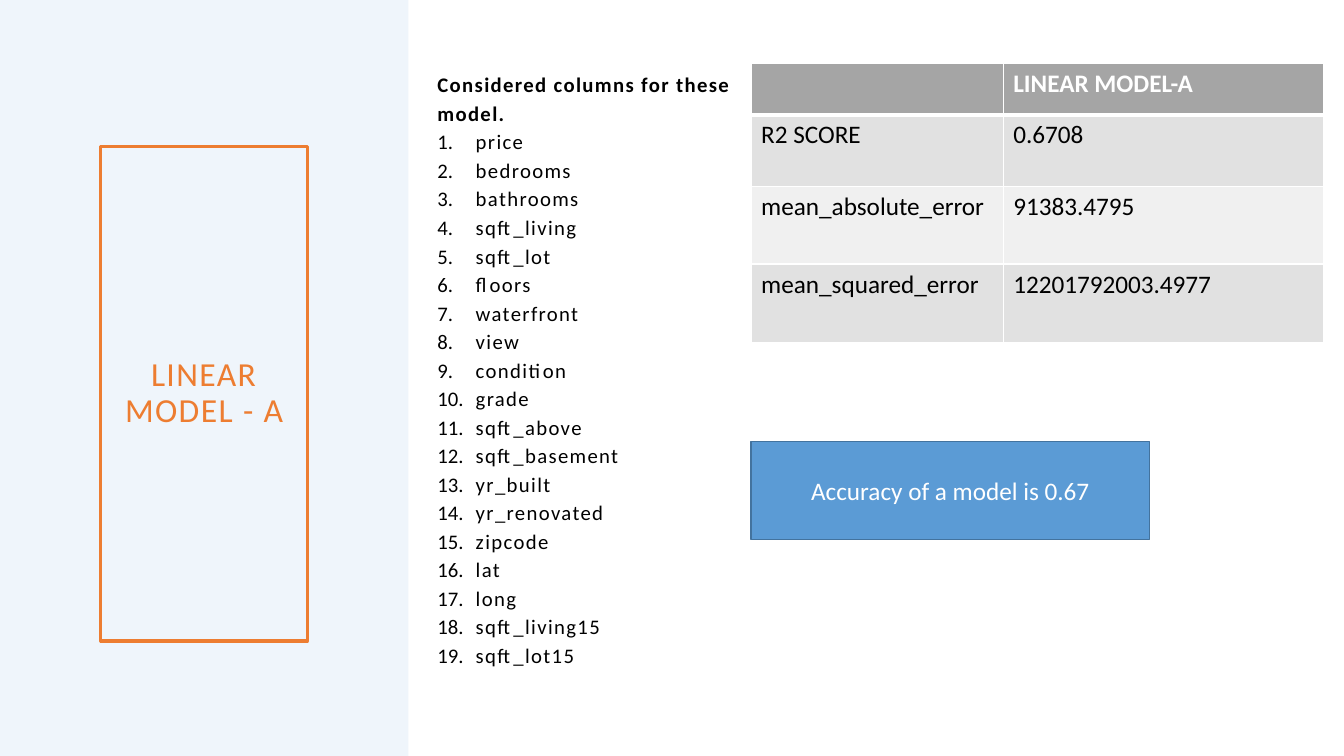
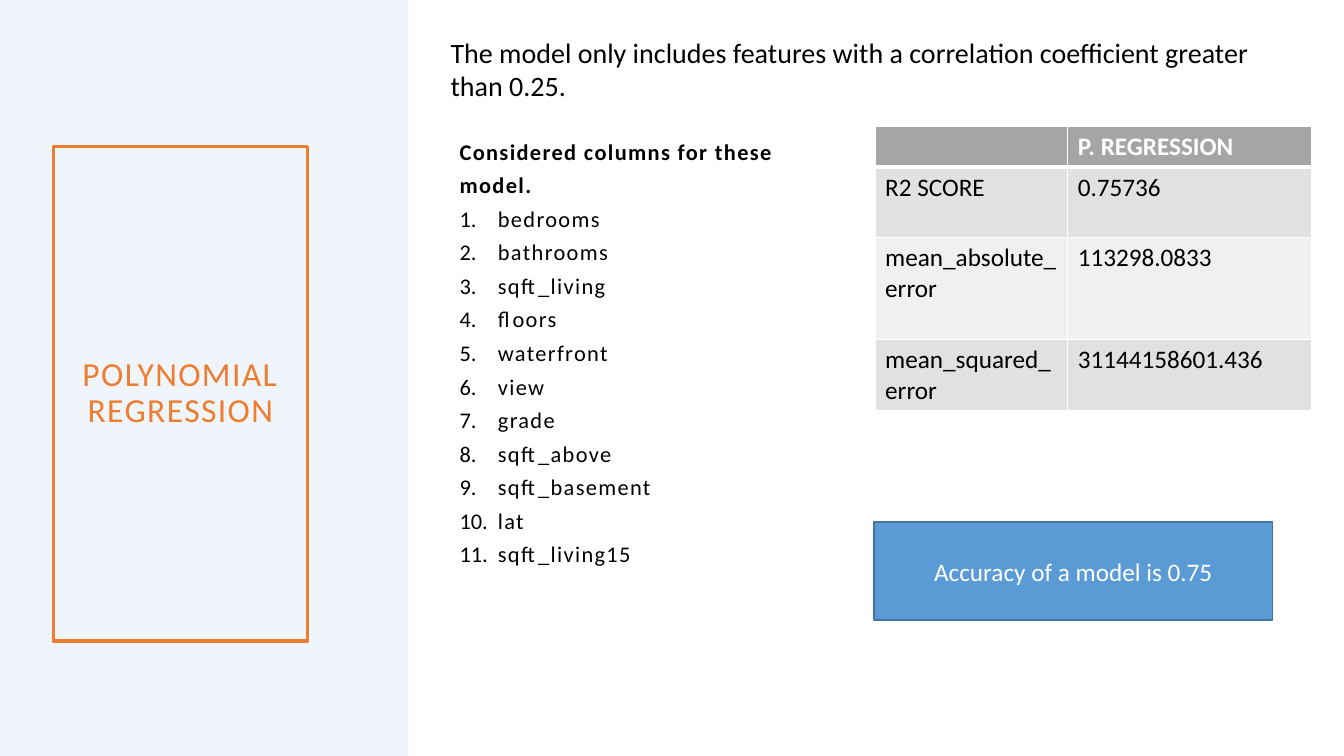
from dataclasses import dataclass

from lxml.etree import SubElement
from pptx import Presentation
from pptx.dml.color import RGBColor
from pptx.enum.shapes import MSO_SHAPE as Preset
from pptx.enum.text import MSO_ANCHOR as Anchor, MSO_AUTO_SIZE as AutoSize, PP_ALIGN as Align
from pptx.oxml.ns import qn
from pptx.util import Inches, Pt


@dataclass(frozen=True)
class Theme:
    """Colours, font and type sizes of the deck."""
    font: str = "Calibri"
    panel: str = "EFF5FB"
    accent: str = "ED7D31"
    callout: str = "5B9BD5"
    callout_edge: str = "43739E"
    header: str = "A5A5A5"
    bands: tuple = ("E1E1E1", "F0F0F0")
    ink: str = "000000"
    paper: str = "FFFFFF"
    title_size: float = 24
    intro_size: float = 20
    body_size: float = 18


THEME = Theme()
TITLE_ONLY = 5
PANEL_BOX = (0, 0, 4.05, 7.5)
LIST_HEADING = "Considered columns for these model."
METRICS = ("R2 SCORE", "mean_absolute_error", "mean_squared_error")


@dataclass(frozen=True)
class ModelPage:
    """Content and layout of one model page; boxes are left, top, width, height."""
    title: str
    title_box: tuple
    columns: tuple
    list_box: tuple
    list_size: float
    list_spacing: float
    table_name: str
    scores: tuple
    table_origin: tuple
    table_widths: tuple
    table_heights: tuple
    callout: str
    callout_box: tuple
    intro: str = ""
    intro_box: tuple = ()


PAGES = (
    ModelPage(
        title="LINEAR MODEL - A",
        title_box=(1, 1.45, 2.05, 4.91),
        columns=("price", "bedrooms", "bathrooms", "sqft_living", "sqft_lot", "floors",
                 "waterfront", "view", "condition", "grade", "sqft_above", "sqft_basement",
                 "yr_built", "yr_renovated", "zipcode", "lat", "long", "sqft_living15",
                 "sqft_lot15"),
        list_box=(4.24, 0.63, 3.21, 6.6),
        list_size=14.8,
        list_spacing=1.15,
        table_name="LINEAR MODEL-A",
        scores=("0.6708", "91383.4795", "12201792003.4977"),
        table_origin=(7.45, 0.63),
        table_widths=(2.5, 3.18),
        table_heights=(0.51, 0.71, 0.77, 0.78),
        callout="Accuracy of a model is 0.67",
        callout_box=(7.45, 4.38, 3.95, 0.97),
    ),
    ModelPage(
        title="POLYNOMIAL REGRESSION",
        title_box=(0.53, 1.45, 2.52, 4.91),
        columns=("bedrooms", "bathrooms", "sqft_living", "floors", "waterfront", "view",
                 "grade", "sqft_above", "sqft_basement", "lat", "sqft_living15"),
        list_box=(4.46, 1.25, 3.91, 4.45),
        list_size=16,
        list_spacing=1.25,
        table_name="P. REGRESSION",
        scores=("0.75736", "113298.0833", "31144158601.436"),
        table_origin=(8.68, 1.25),
        table_widths=(1.91, 2.42),
        table_heights=(0.41, 0.7, 1.01, 0.69),
        callout="Accuracy of a model is 0.75",
        callout_box=(8.67, 5.18, 3.95, 0.97),
        intro="The model only includes features with a correlation coefficient greater than 0.25.",
        intro_box=(4.37, 0.3, 8.6, 0.77),
    ),
)


def rgb(code):
    """Turn a hex code into a colour."""
    return RGBColor.from_string(code)


def inches(box):
    """Turn plain numbers into lengths."""
    return [Inches(value) for value in box]


def style(para, size, color, bold=False, tracking=0):
    """Format every run of a paragraph, with letter spacing in points."""
    for span in para.runs:
        span.font.name = THEME.font
        span.font.size = Pt(size)
        span.font.bold = bold
        span.font.color.rgb = rgb(color)
        if tracking:
            span.font._element.set("spc", str(tracking * 100))


def number(para, indent=0.38):
    """Give a paragraph an automatic number and a hanging indent."""
    props = para._p.get_or_add_pPr()
    props.set("marL", str(Inches(indent)))
    props.set("indent", str(-Inches(indent)))
    SubElement(props, qn("a:buFont"), typeface=THEME.font)
    SubElement(props, qn("a:buAutoNum"), type="arabicPeriod")


def set_borders(cell, bottom):
    """Draw white borders around a cell, with its own bottom width in points."""
    props = cell._tc.get_or_add_tcPr()
    for index, (side, width) in enumerate((("L", 1), ("R", 1), ("T", 1), ("B", bottom))):
        line = props.makeelement(qn(f"a:ln{side}"), {"w": str(Pt(width))})
        fill = SubElement(line, qn("a:solidFill"))
        SubElement(fill, qn("a:srgbClr"), val=THEME.paper)
        props.insert(index, line)


def add_rectangle(page, box, fill):
    """Add a flat rectangle without a line."""
    shape = page.shapes.add_shape(Preset.RECTANGLE, *inches(box))
    shape.shadow.inherit = False
    shape.fill.solid()
    shape.fill.fore_color.rgb = rgb(fill)
    shape.line.fill.background()
    return shape


def add_text(page, box):
    """Add an empty wrapping text box and return its frame."""
    frame = page.shapes.add_textbox(*inches(box)).text_frame
    frame.word_wrap = True
    return frame


def add_panel(page):
    """Place the tinted side panel behind the title."""
    panel = add_rectangle(page, PANEL_BOX, THEME.panel)
    page.shapes.element.insert(2, panel.element)


def place_title(page, text, box):
    """Frame the title placeholder in the accent colour."""
    title = page.shapes.title
    title.left, title.top, title.width, title.height = inches(box)
    title.line.color.rgb = rgb(THEME.accent)
    title.line.width = Pt(2.25)
    frame = title.text_frame
    frame.text = text
    frame.word_wrap = True
    frame.auto_size = AutoSize.NONE
    frame.vertical_anchor = Anchor.MIDDLE
    para = frame.paragraphs[0]
    para.alignment = Align.CENTER
    para.line_spacing = 0.9
    style(para, THEME.title_size, THEME.accent, tracking=1)


def add_column_list(page, columns, box, size, spacing):
    """Add the heading and the numbered list of model columns."""
    frame = add_text(page, box)
    frame.text = "\n".join((LIST_HEADING, *columns))
    for index, para in enumerate(frame.paragraphs):
        para.line_spacing = spacing
        style(para, size, THEME.ink, bold=index == 0, tracking=1)
        if index:
            number(para)


def add_score_table(page, name, scores, origin, widths, heights):
    """Add the table of error metrics for one model."""
    rows = [("", name), *zip(METRICS, scores)]
    box = (*origin, sum(widths), sum(heights))
    table = page.shapes.add_table(len(rows), len(widths), *inches(box)).table
    for column, width in zip(table.columns, widths):
        column.width = Inches(width)
    for index, (row, height, texts) in enumerate(zip(table.rows, heights, rows)):
        row.height = Inches(height)
        is_header = index == 0
        fill = THEME.header if is_header else THEME.bands[(index - 1) % 2]
        color = THEME.paper if is_header else THEME.ink
        for cell, text in zip(row.cells, texts):
            cell.text = text
            cell.fill.solid()
            cell.fill.fore_color.rgb = rgb(fill)
            set_borders(cell, 3 if is_header else 1)
            style(cell.text_frame.paragraphs[0], THEME.body_size, color, bold=is_header)


def add_callout(page, text, box):
    """Add the accuracy callout."""
    callout = add_rectangle(page, box, THEME.callout)
    callout.line.color.rgb = rgb(THEME.callout_edge)
    callout.line.width = Pt(1)
    frame = callout.text_frame
    frame.text = text
    frame.word_wrap = True
    frame.vertical_anchor = Anchor.MIDDLE
    para = frame.paragraphs[0]
    para.alignment = Align.CENTER
    style(para, THEME.body_size, THEME.paper)


def add_intro(page, text, box):
    """Add the remark above the list and the table."""
    frame = add_text(page, box)
    frame.text = text
    style(frame.paragraphs[0], THEME.intro_size, THEME.ink)


def add_model_page(deck, model):
    """Build one model page."""
    page = deck.slides.add_slide(deck.slide_layouts[TITLE_ONLY])
    add_panel(page)
    place_title(page, model.title, model.title_box)
    add_column_list(page, model.columns, model.list_box, model.list_size, model.list_spacing)
    if model.intro:
        add_intro(page, model.intro, model.intro_box)
    add_score_table(page, model.table_name, model.scores, model.table_origin,
                    model.table_widths, model.table_heights)
    add_callout(page, model.callout, model.callout_box)


def main():
    """Build and save the deck."""
    deck = Presentation()
    deck.slide_width, deck.slide_height = inches((13.33, 7.5))
    for model in PAGES:
        add_model_page(deck, model)
    deck.save("out.pptx")


if __name__ == "__main__":
    main()
